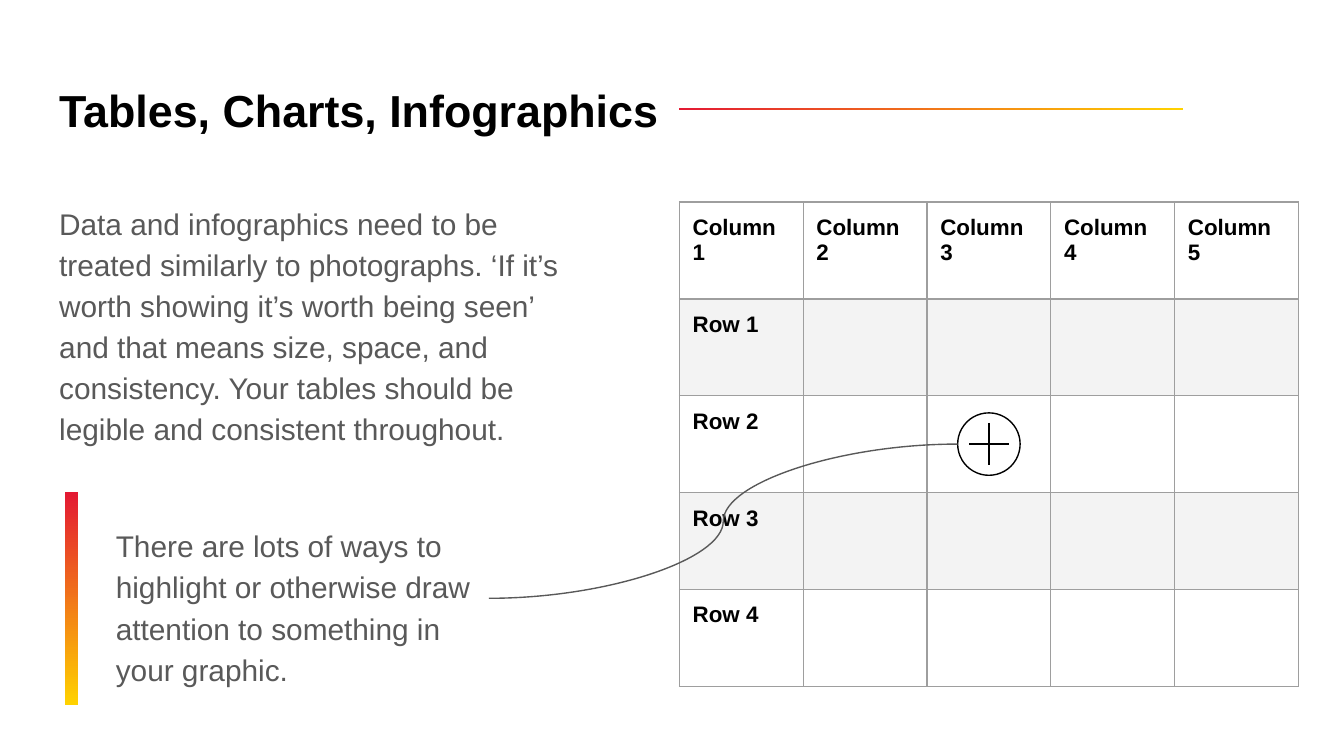
from dataclasses import dataclass

from lxml.etree import SubElement
from pptx import Presentation
from pptx.dml.color import RGBColor
from pptx.enum.shapes import MSO_CONNECTOR, MSO_SHAPE
from pptx.enum.text import MSO_ANCHOR
from pptx.oxml.ns import qn
from pptx.util import Cm, Pt

BLACK = RGBColor(0x00, 0x00, 0x00)
GREY = RGBColor(0x59, 0x59, 0x59)
BORDER = RGBColor(0x9E, 0x9E, 0x9E)
BAND = RGBColor(0xF3, 0xF3, 0xF3)
RED = RGBColor(0xE3, 0x19, 0x33)
YELLOW = RGBColor(0xFF, 0xD2, 0x00)

FONT = "Arial"
INSET = Cm(0.25)
HAIRLINE = Pt(0.75)


@dataclass(frozen=True)
class Passage:
    text: str
    left: float
    top: float
    width: float
    height: float
    size: int = 16
    color: RGBColor = GREY
    bold: bool = False
    anchor: MSO_ANCHOR = MSO_ANCHOR.TOP
    spacing: float = 1.15


@dataclass(frozen=True)
class GradientBar:
    left: float
    top: float
    width: float
    height: float
    angle: int


@dataclass(frozen=True)
class Stroke:
    kind: MSO_CONNECTOR
    x1: float
    y1: float
    x2: float
    y2: float
    color: RGBColor = BLACK


PASSAGES = [
    Passage("Tables, Charts, Infographics", 0.87, 1.02, 12.45, 2.11,
            size=24, color=BLACK, bold=True, anchor=MSO_ANCHOR.MIDDLE, spacing=1.0),
    Passage("Data and infographics need to be treated similarly to photographs. "
            "‘If it’s worth showing it’s worth being seen’ and that means size, "
            "space, and consistency. Your tables should be legible and consistent "
            "throughout.", 0.87, 3.53, 10.49, 4.85),
    Passage("There are lots of ways to highlight or otherwise draw attention to "
            "something in your graphic.", 1.94, 9.63, 7.29, 3.38),
]

BARS = [
    GradientBar(12.83, 2.05, 9.53, 0.04, angle=0),
    GradientBar(1.23, 9.3, 0.25, 4.02, angle=270),
]

# Table grid
TABLE_LEFT, TABLE_TOP = 12.84, 3.82
COLUMN_WIDTH, ROW_HEIGHT = 2.34, 1.83
COLUMNS = ROWS = 5

# Marker centred in the middle cell
MARKER_X = TABLE_LEFT + 2.5 * COLUMN_WIDTH
MARKER_Y = TABLE_TOP + 2.5 * ROW_HEIGHT
RADIUS = 0.59
ARM_X, ARM_Y = 0.37, 0.4

STROKES = [
    Stroke(MSO_CONNECTOR.STRAIGHT, MARKER_X, MARKER_Y - ARM_Y, MARKER_X, MARKER_Y + ARM_Y),
    Stroke(MSO_CONNECTOR.STRAIGHT, MARKER_X - ARM_X, MARKER_Y, MARKER_X + ARM_X, MARKER_Y),
    Stroke(MSO_CONNECTOR.CURVE, 9.24, 11.31, MARKER_X - RADIUS, MARKER_Y, GREY),
]


def style_text(frame, size: int, color: RGBColor, bold: bool) -> None:
    for paragraph in frame.paragraphs:
        for run in paragraph.runs:
            run.font.name = FONT
            run.font.size = Pt(size)
            run.font.bold = bold
            run.font.color.rgb = color


def add_passage(slide, passage: Passage) -> None:
    box = slide.shapes.add_textbox(Cm(passage.left), Cm(passage.top),
                                   Cm(passage.width), Cm(passage.height))
    frame = box.text_frame
    frame.word_wrap = True
    frame.vertical_anchor = passage.anchor
    frame.margin_left = frame.margin_right = INSET
    frame.margin_top = frame.margin_bottom = INSET
    frame.text = passage.text
    frame.paragraphs[0].line_spacing = passage.spacing
    style_text(frame, passage.size, passage.color, passage.bold)


def add_bar(slide, bar: GradientBar) -> None:
    shape = slide.shapes.add_shape(MSO_SHAPE.RECTANGLE, Cm(bar.left), Cm(bar.top),
                                   Cm(bar.width), Cm(bar.height))
    shape.shadow.inherit = False
    shape.line.fill.background()
    shape.fill.gradient()
    shape.fill.gradient_angle = bar.angle
    for stop, color in zip(shape.fill.gradient_stops, (RED, YELLOW)):
        stop.color.rgb = color


def add_stroke(slide, stroke: Stroke) -> None:
    connector = slide.shapes.add_connector(stroke.kind, Cm(stroke.x1), Cm(stroke.y1),
                                           Cm(stroke.x2), Cm(stroke.y2))
    connector.line.color.rgb = stroke.color
    connector.line.width = HAIRLINE
    SubElement(connector._element.spPr, qn("a:effectLst"))


def add_ring(slide) -> None:
    ring = slide.shapes.add_shape(MSO_SHAPE.OVAL, Cm(MARKER_X - RADIUS),
                                  Cm(MARKER_Y - RADIUS), Cm(2 * RADIUS), Cm(2 * RADIUS))
    ring.shadow.inherit = False
    ring.fill.background()
    ring.line.color.rgb = BLACK
    ring.line.width = HAIRLINE


def add_borders(cell) -> None:
    properties = cell._tc.get_or_add_tcPr()
    for side in ("a:lnL", "a:lnR", "a:lnT", "a:lnB"):
        edge = SubElement(properties, qn(side), w=str(HAIRLINE))
        fill = SubElement(edge, qn("a:solidFill"))
        SubElement(fill, qn("a:srgbClr"), val=str(BORDER))


def cell_label(row: int, column: int) -> str:
    if row == 0:
        return f"Column {column + 1}"
    return f"Row {row}" if column == 0 else ""


def add_grid(slide) -> None:
    table = slide.shapes.add_table(ROWS, COLUMNS, Cm(TABLE_LEFT), Cm(TABLE_TOP),
                                   Cm(COLUMNS * COLUMN_WIDTH), Cm(ROWS * ROW_HEIGHT)).table
    table.first_row = table.horz_banding = False
    for column in table.columns:
        column.width = Cm(COLUMN_WIDTH)
    for r, row in enumerate(table.rows):
        row.height = Cm(ROW_HEIGHT)
        for c, cell in enumerate(row.cells):
            cell.margin_left = cell.margin_right = INSET
            cell.margin_top = cell.margin_bottom = INSET
            add_borders(cell)
            if r % 2:
                cell.fill.solid()
                cell.fill.fore_color.rgb = BAND
            else:
                cell.fill.background()
            label = cell_label(r, c)
            if label:
                cell.text_frame.text = label
                style_text(cell.text_frame, 12, BLACK, True)


def main() -> None:
    presentation = Presentation()
    presentation.slide_width, presentation.slide_height = Cm(25.4), Cm(14.29)
    slide = presentation.slides.add_slide(presentation.slide_layouts[6])

    # Title, body and callout text
    for passage in PASSAGES:
        add_passage(slide, passage)
    for bar in BARS:
        add_bar(slide, bar)

    # Table with the highlighted cell
    add_grid(slide)
    add_ring(slide)
    for stroke in STROKES:
        add_stroke(slide, stroke)

    presentation.save("out.pptx")


if __name__ == "__main__":
    main()
